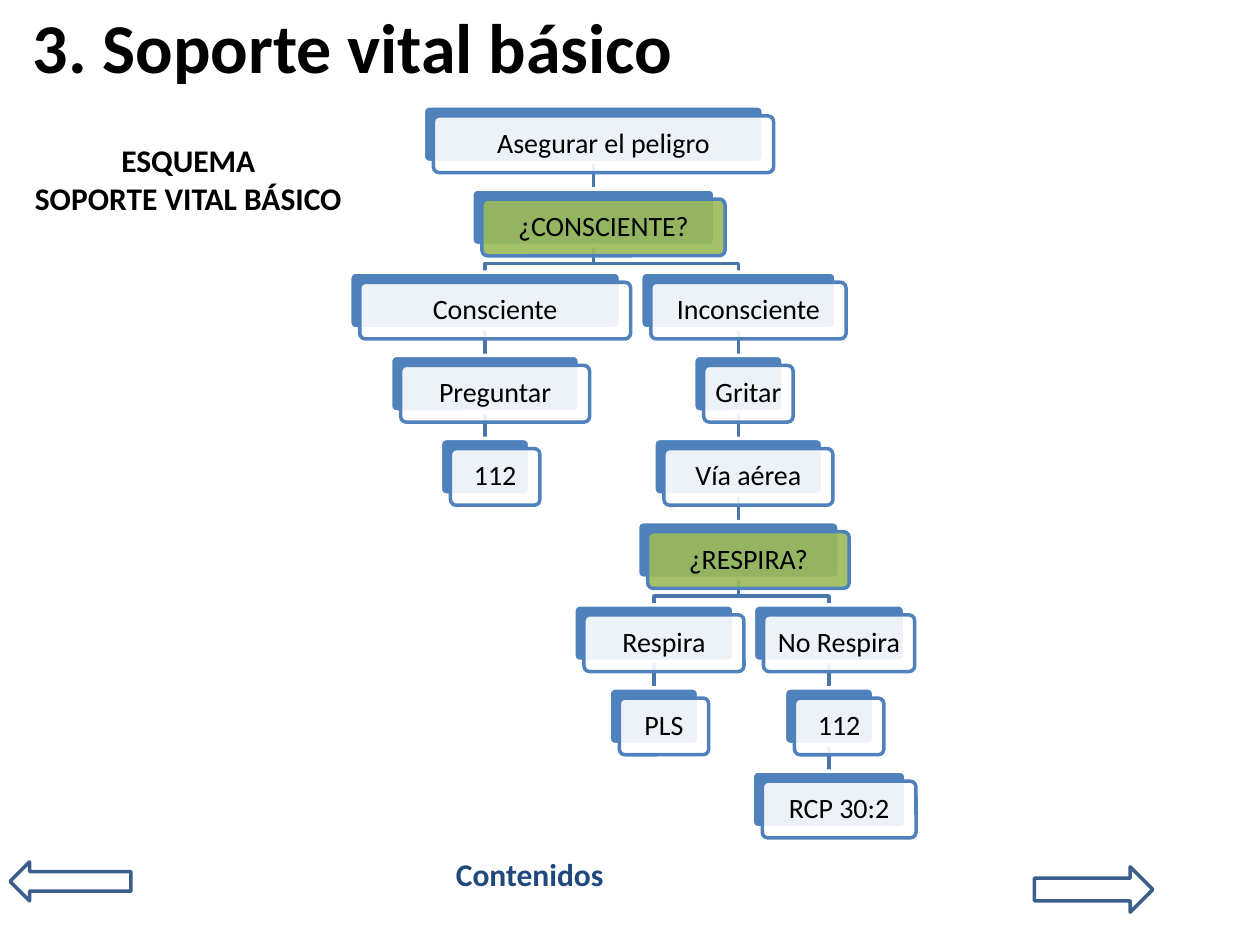
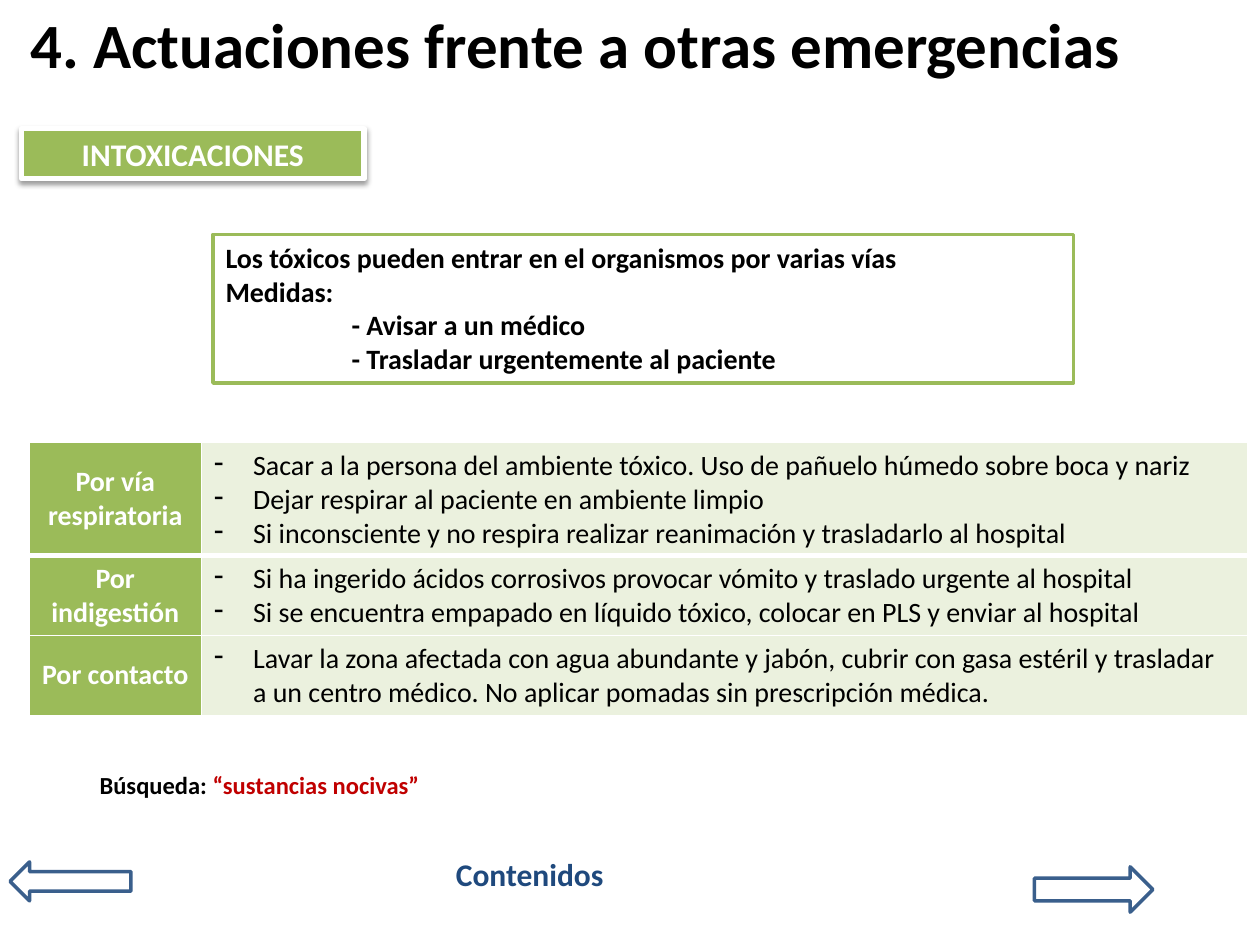
from dataclasses import dataclass

from lxml import etree
from pptx import Presentation
from pptx.dml.color import RGBColor
from pptx.enum import shapes as kinds, text
from pptx.oxml.ns import qn
from pptx.util import Inches, Pt


@dataclass(frozen=True)
class Theme:
    """Colours, font and type sizes shared by the slides."""
    font: str = "Calibri"
    black: str = "000000"
    white: str = "FFFFFF"
    navy: str = "1F497D"
    blue: str = "4F81BD"
    link: str = "4875AC"
    arrow: str = "3A5F8C"
    green: str = "9BBB59"
    pale: str = "EBF1DE"
    red: str = "C00000"
    search_size: int = 14
    body_size: int = 16
    label_size: int = 18
    long_title_size: int = 36
    title_size: int = 40


THEME = Theme()
CENTER = text.PP_ALIGN.CENTER
MIDDLE = text.MSO_ANCHOR.MIDDLE
LEVEL_TOP, LEVEL_STEP, BOX_HEIGHT, BOX_OFFSET = 0.84, 0.66, 0.45, 0.08

# label, centre, level, width, parent index, question
STEPS = [
    ("Asegurar el peligro", 4.71, 0, 2.7, None, False),
    ("¿CONSCIENTE?", 4.71, 1, 1.93, 0, True),
    ("Consciente", 3.85, 2, 2.15, 1, False),
    ("Preguntar", 3.85, 3, 1.5, 2, False),
    ("112", 3.85, 4, 0.71, 3, False),
    ("Inconsciente", 5.86, 2, 1.55, 1, False),
    ("Gritar", 5.86, 3, 0.71, 5, False),
    ("Vía aérea", 5.86, 4, 1.34, 6, False),
    ("¿RESPIRA?", 5.86, 5, 1.6, 7, True),
    ("Respira", 5.19, 6, 1.27, 8, False),
    ("PLS", 5.19, 7, 0.71, 9, False),
    ("No Respira", 6.58, 6, 1.2, 8, False),
    ("112", 6.58, 7, 0.71, 11, False),
    ("RCP 30:2", 6.58, 8, 1.22, 12, False),
]

ROUTES = [
    ("Por vía respiratoria", 0.9, [
        "Sacar a la persona del ambiente tóxico. Uso de pañuelo húmedo sobre boca y nariz",
        "Dejar respirar al paciente en ambiente limpio",
        "Si inconsciente y no respira realizar reanimación y trasladarlo al hospital"]),
    ("Por indigestión", 0.63, [
        "Si ha ingerido ácidos corrosivos provocar vómito y traslado urgente al hospital",
        "Si se encuentra empapado en líquido tóxico, colocar en PLS y enviar al hospital"]),
    ("Por contacto", 0.63, [
        "Lavar la zona afectada con agua abundante y jabón, cubrir con gasa estéril y "
        "trasladar a un centro médico. No aplicar pomadas sin prescripción médica."]),
]


def rgb(color):
    """Turn a hex string into a colour."""
    return RGBColor.from_string(color)


def style(font, size, color, bold=False):
    """Format a paragraph or run font."""
    font.name, font.size, font.bold = THEME.font, Pt(size), bold
    font.color.rgb = rgb(color)


def write(frame, lines, size, color, bold=False, align=None):
    """Fill a text frame with one paragraph per line."""
    frame.word_wrap = True
    frame.text = "\n".join(lines)
    for paragraph in frame.paragraphs:
        paragraph.alignment = align
        style(paragraph.font, size, color, bold)


def indent(paragraph, left, first=0, bullet=None):
    """Set a paragraph's indents and its bullet or lack of one."""
    props = paragraph._p.get_or_add_pPr()
    props.set("marL", str(Inches(left)))
    props.set("indent", str(Inches(first)))
    mark = etree.Element(qn("a:buChar" if bullet else "a:buNone"))
    if bullet:
        mark.set("char", bullet)
    props.find(qn("a:defRPr")).addprevious(mark)


def place(shape, left, top, width, height):
    """Move and size a placeholder."""
    shape.left, shape.top = Inches(left), Inches(top)
    shape.width, shape.height = Inches(width), Inches(height)


def paint(shape, fill, line, weight=2):
    """Set a shape's fill and outline."""
    if fill:
        shape.fill.solid()
        shape.fill.fore_color.rgb = rgb(fill)
    else:
        shape.fill.background()
    shape.line.color.rgb = rgb(line)
    shape.line.width = Pt(weight)


def add_box(parent, preset, at, fill, line, weight=2):
    """Add a preset shape at a place given in inches."""
    box = parent.shapes.add_shape(preset, *map(Inches, at))
    box.shadow.inherit = False
    paint(box, fill, line, weight)
    return box


def add_label(slide, at, lines, size, color, align=None):
    """Add a bold text box."""
    label = slide.shapes.add_textbox(*map(Inches, at))
    write(label.text_frame, lines, size, color, True, align)
    return label


def add_page(deck, layout, title, at, size):
    """Add a slide with its title and navigation footer."""
    slide = deck.slides.add_slide(deck.slide_layouts[layout])
    heading = slide.shapes.title
    place(heading, *at)
    frame = heading.text_frame
    frame.auto_size = text.MSO_AUTO_SIZE.NONE
    frame.vertical_anchor = MIDDLE
    write(frame, [title], size, THEME.black, True, text.PP_ALIGN.LEFT)
    preset = kinds.MSO_SHAPE
    add_box(slide, preset.LEFT_ARROW, (0.08, 6.84, 0.96, 0.31), None, THEME.arrow)
    add_box(slide, preset.RIGHT_ARROW, (8.21, 6.88, 0.94, 0.36), None, THEME.arrow)
    add_label(slide, (3.52, 6.74, 1.44, 0.4), ["Contenidos"], THEME.label_size, THEME.navy)
    return slide


def level_top(level):
    """Return the top of a level of the flow chart."""
    return LEVEL_TOP + LEVEL_STEP * level


def add_link(chart, start_x, end_x, level):
    """Join a step to the one on the level below it."""
    start, end = level_top(level) + BOX_HEIGHT, level_top(level + 1)
    if start_x == end_x:
        link = chart.shapes.add_connector(
            kinds.MSO_CONNECTOR.STRAIGHT, *map(Inches, (start_x, start, end_x, end)))
        etree.SubElement(link._element.spPr, qn("a:effectLst"))
    else:
        bend = start + 0.14
        points = [(start_x, bend), (end_x, bend), (end_x, end)]
        outline = chart.shapes.build_freeform(Inches(start_x), Inches(start))
        outline.add_line_segments([(Inches(x), Inches(y)) for x, y in points], close=False)
        link = outline.convert_to_shape()
        link.shadow.inherit = False
        link.fill.background()
    link.line.color.rgb = rgb(THEME.link)
    link.line.width = Pt(2)


def add_step(chart, label, center, level, width, question):
    """Add a step as a card in front of a blue backing."""
    left, top = center - width / 2, level_top(level)
    rounded = kinds.MSO_SHAPE.ROUNDED_RECTANGLE
    backing = add_box(chart, rounded, (left, top, width, BOX_HEIGHT), THEME.blue, THEME.white)
    card = add_box(chart, rounded, (left + BOX_OFFSET, top + BOX_OFFSET, width, BOX_HEIGHT),
                   THEME.green if question else THEME.white, THEME.blue)
    for layer in (backing, card):
        layer.adjustments[0] = 0.1
    color = card._element.spPr.find(qn("a:solidFill"))[0]
    etree.SubElement(color, qn("a:alpha"), val="90000")
    frame = card.text_frame
    frame.margin_left = frame.margin_right = Inches(0.07)
    frame.margin_top = frame.margin_bottom = Inches(0.07)
    frame.vertical_anchor = MIDDLE
    write(frame, [label], THEME.body_size, THEME.black, align=CENTER)
    frame.paragraphs[0].line_spacing = 0.9


def add_flow(slide):
    """Draw the flow chart, links behind steps."""
    chart = slide.shapes.add_group_shape()
    for _, center, _, _, parent, _ in STEPS:
        if parent is not None:
            _, parent_center, parent_level, *_ = STEPS[parent]
            add_link(chart, parent_center, center, parent_level)
    for label, center, level, width, _, question in STEPS:
        add_step(chart, label, center, level, width, question)


def add_topic(slide, topic):
    """Add the green topic banner with its soft shadow."""
    banner = add_box(slide, kinds.MSO_SHAPE.RECTANGLE, (0.17, 1.02, 2.72, 0.4),
                     THEME.green, THEME.white, 3)
    write(banner.text_frame, [topic], THEME.label_size, THEME.white, True, CENTER)
    effects = banner._element.spPr.find(qn("a:effectLst"))
    shadow = etree.SubElement(effects, qn("a:outerShdw"), blurRad=str(Pt(3.1)),
                              dist=str(Pt(1.6)), dir="5400000", rotWithShape="0")
    color = etree.SubElement(shadow, qn("a:srgbClr"), val=THEME.black)
    etree.SubElement(color, qn("a:alpha"), val="38000")


def fill_measures(slide):
    """Write the framed introduction in the body placeholder."""
    measures = slide.placeholders[1]
    place(measures, 1.69, 1.86, 6.83, 1.18)
    paint(measures, THEME.white, THEME.green)
    frame = measures.text_frame
    frame.auto_size = text.MSO_AUTO_SIZE.NONE
    write(frame, ["Los tóxicos pueden entrar en el organismos por varias vías", "Medidas:",
                  "- Avisar a un médico", "- Trasladar urgentemente al paciente"],
          THEME.body_size, THEME.black, True)
    for paragraph, left in zip(frame.paragraphs, (0, 0, 1, 1)):
        paragraph.space_before = Pt(0)
        indent(paragraph, left)


def set_borders(cell, bottom):
    """Give a cell white borders, the bottom one of its own weight."""
    props = cell._tc.get_or_add_tcPr()
    for index, (side, weight) in enumerate(zip("LRTB", (1, 1, 1, bottom))):
        border = etree.Element(qn("a:ln" + side), w=str(Pt(weight)))
        fill = etree.SubElement(border, qn("a:solidFill"))
        etree.SubElement(fill, qn("a:srgbClr"), val=THEME.white)
        props.insert(index, border)


def add_routes(slide):
    """Add the table of poisoning routes."""
    table = slide.shapes.add_table(len(ROUTES), 2, Inches(0.23), Inches(3.51),
                                   Inches(9.67), Inches(2.16)).table
    table.first_row = table.horz_banding = False
    for column, width in zip(table.columns, (1.37, 8.3)):
        column.width = Inches(width)
    for index, (route, height, advice) in enumerate(ROUTES):
        table.rows[index].height = Inches(height)
        name, actions = table.cell(index, 0), table.cell(index, 1)
        for cell, color in ((name, THEME.green), (actions, THEME.pale)):
            cell.fill.solid()
            cell.fill.fore_color.rgb = rgb(color)
            set_borders(cell, 1 if index else 3)
        name.vertical_anchor = MIDDLE
        write(name.text_frame, [route], THEME.body_size, THEME.white, True, CENTER)
        write(actions.text_frame, advice, THEME.body_size, THEME.black)
        for paragraph in actions.text_frame.paragraphs:
            indent(paragraph, 0.31, -0.31, "-")


def add_search(slide):
    """Add the search hint with its term in red."""
    hint = add_label(slide, (0.68, 6.06, 2.76, 0.34), ["Búsqueda:"],
                     THEME.search_size, THEME.black, CENTER)
    hint.text_frame.word_wrap = False
    term = hint.text_frame.paragraphs[0].add_run()
    term.text = " “sustancias nocivas”"
    style(term.font, THEME.search_size, THEME.red, True)


def main():
    """Build and save the two slides."""
    deck = Presentation()
    deck.slide_width, deck.slide_height = Inches(10), Inches(7.5)

    support = add_page(deck, 5, "3. Soporte vital básico",
                       (0.16, 0.05, 9.42, 0.63), THEME.title_size)
    add_flow(support)
    add_label(support, (0.16, 1.07, 2.67, 0.71), ["ESQUEMA", "SOPORTE VITAL BÁSICO"],
              THEME.label_size, THEME.black, CENTER)

    poisoning = add_page(deck, 1, "4. Actuaciones frente a otras emergencias",
                         (0.14, 0.03, 9.74, 0.63), THEME.long_title_size)
    add_topic(poisoning, "INTOXICACIONES")
    fill_measures(poisoning)
    add_routes(poisoning)
    add_search(poisoning)
    deck.save("out.pptx")


main()
